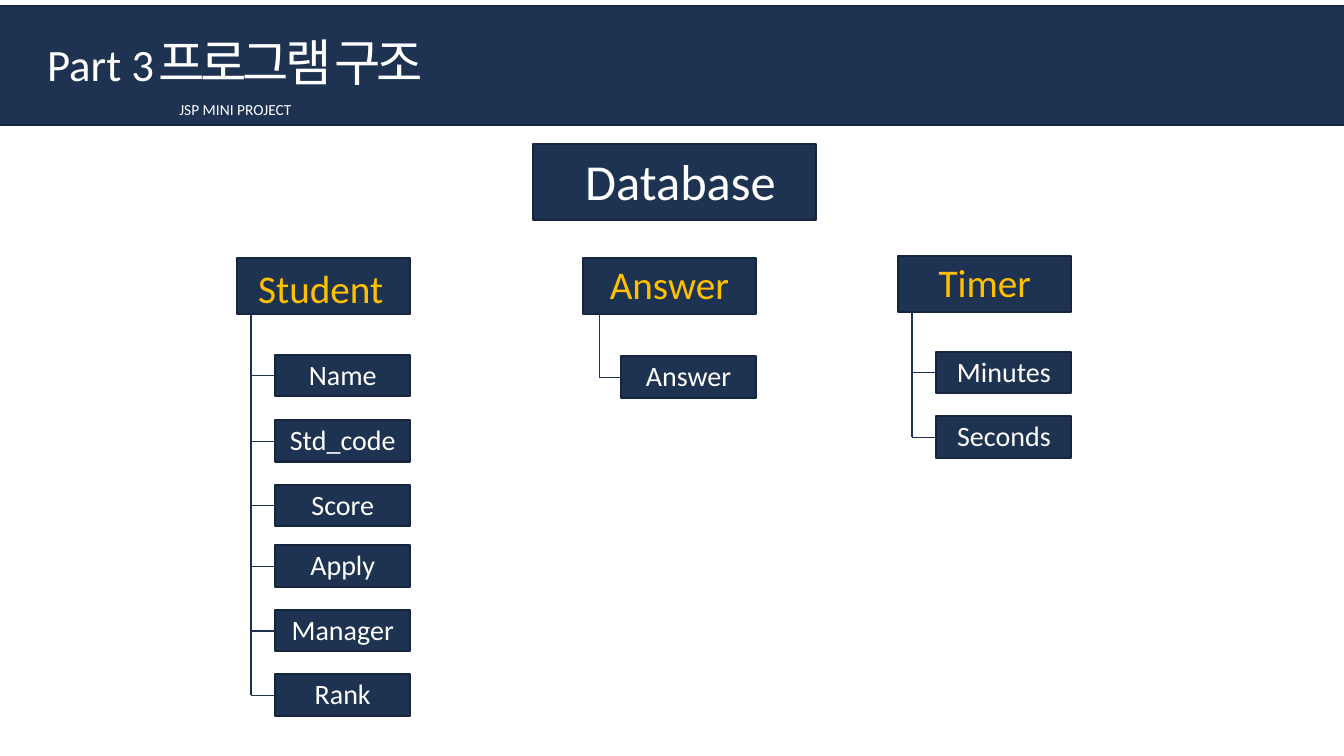
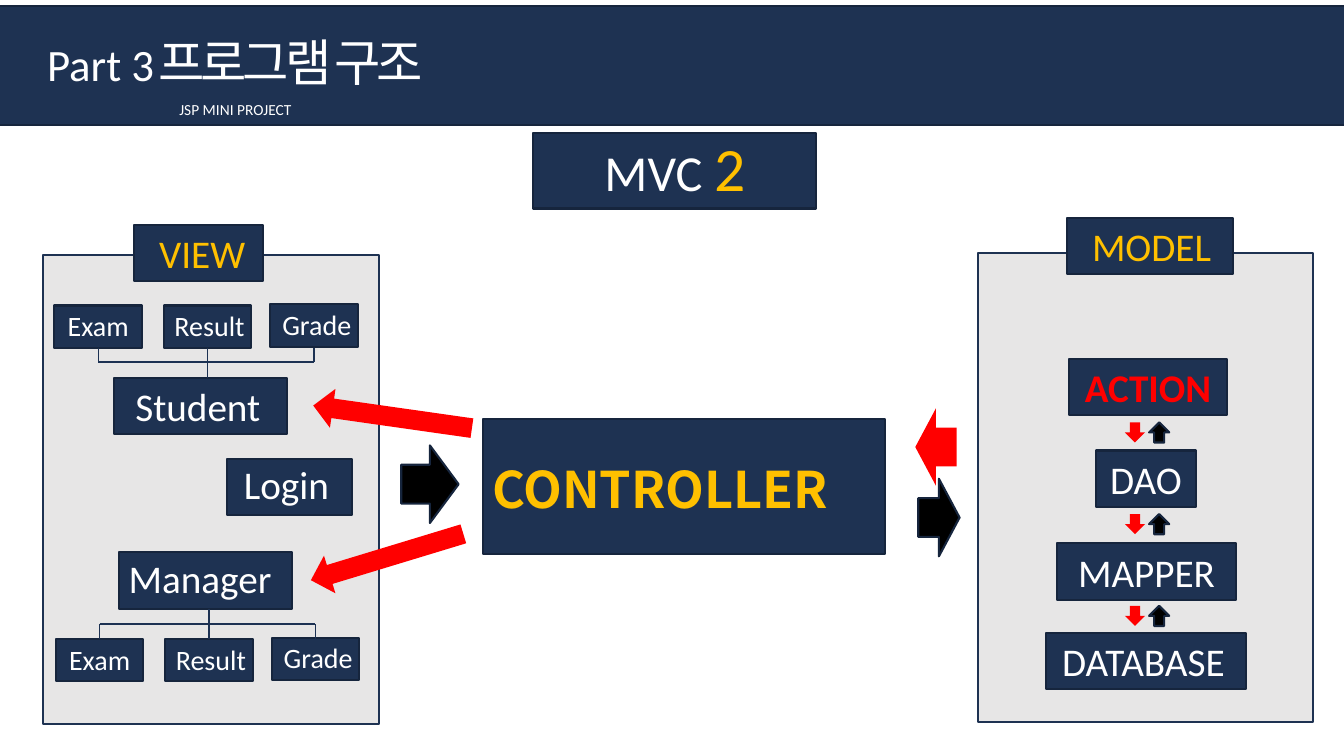
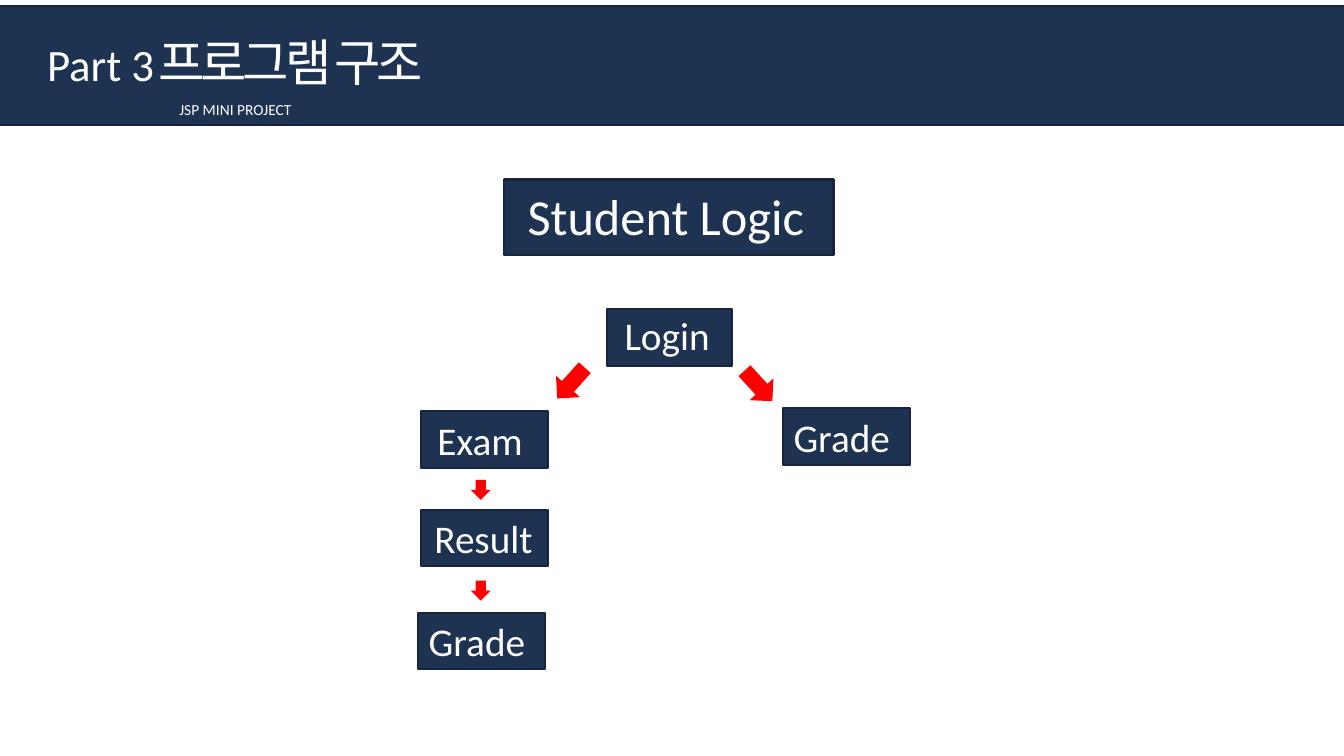
from lxml.etree import SubElement
from pptx import Presentation
from pptx.dml.color import RGBColor
from pptx.enum.shapes import MSO_CONNECTOR as Connector, MSO_SHAPE as Preset
from pptx.enum.text import MSO_ANCHOR as Anchor, MSO_AUTO_SIZE as AutoSize, PP_ALIGN as Align
from pptx.oxml.ns import qn
from pptx.util import Pt

NAVY, EDGE, LINE = "1E3252", "16253D", "1D3253"
WHITE, GOLD, RED, BLACK, GREY = "FFFFFF", "FFC000", "FF0000", "000000", "E7E6E6"
ROW = 40.3


def color(value):
    return RGBColor.from_string(value)


class Deck:
    font = "Calibri"

    def __init__(self):
        self.deck = Presentation()
        self.deck.slide_width, self.deck.slide_height = Pt(960), Pt(540)
        self.page = None

    def paint(self, shape, fill, edge):
        shape.fill.solid()
        shape.fill.fore_color.rgb = color(fill)
        if edge:
            shape.line.color.rgb = color(edge)
            shape.line.width = Pt(1.5)
        else:
            shape.line.fill.background()

    def frame(self, shape, left=0, top=0, right=0, bottom=0, anchor=Anchor.MIDDLE):
        frame = shape.text_frame
        frame.word_wrap = True
        frame.auto_size = AutoSize.NONE
        frame.margin_left, frame.margin_top = Pt(left), Pt(top)
        frame.margin_right, frame.margin_bottom = Pt(right), Pt(bottom)
        frame.vertical_anchor = anchor
        return frame

    def spans(self, para, parts, font=None, bold=False):
        for text, size, tint in parts:
            span = para.add_run()
            span.text = text
            span.font.name = font or self.font
            span.font.size = Pt(size)
            span.font.bold = bold
            span.font.color.rgb = color(tint)

    def new_page(self):
        self.page = self.deck.slides.add_slide(self.deck.slide_layouts[5])
        title = self.page.shapes.title
        title.left, title.top, title.width, title.height = Pt(-29), Pt(4.3), Pt(1029), Pt(85)
        self.paint(title, NAVY, EDGE)
        para = self.frame(title, left=62.6, top=18, anchor=Anchor.TOP).paragraphs[0]
        para.alignment = Align.LEFT
        self.spans(para, [("Part 3", 32, WHITE), (" ", 14, WHITE), ("프로그램 구조", 36, WHITE)])
        para.runs[-1].font._element.set("spc", "-300")
        label = self.page.shapes.add_textbox(Pt(121), Pt(67.7), Pt(128), Pt(21))
        para = self.frame(label, 7.2, 3.6, 7.2, 3.6, Anchor.TOP).paragraphs[0]
        self.spans(para, [("JSP MINI PROJECT", 11, WHITE)])

    def shape(self, preset, x, y, width, height, fill, edge=None):
        shape = self.page.shapes.add_shape(preset, Pt(x), Pt(y), Pt(width), Pt(height))
        shape.shadow.inherit = False
        self.paint(shape, fill, edge)
        return shape

    def panel(self, x, y):
        self.shape(Preset.RECTANGLE, x, y, 239.8, 334.8, GREY, NAVY)

    def box(self, parts, x, y, width, height=ROW, dx=0, dy=0, font=None, bold=False):
        box = self.shape(Preset.RECTANGLE, x, y, width, height, NAVY, EDGE)
        frame = self.frame(box, max(0, 2 * dx), max(0, 2 * dy), max(0, -2 * dx), max(0, -2 * dy))
        frame.paragraphs[0].alignment = Align.CENTER
        self.spans(frame.paragraphs[0], parts, font, bold)

    def node(self, text, x, y, width, tint=WHITE, dx=0, dy=0, bold=False):
        self.box([(text, 28, tint)], x, y, width, dx=dx, dy=dy, bold=bold)

    def arrow(self, x, y, width, height, turn=0, fill=RED):
        arrow = self.shape(Preset.RIGHT_ARROW, x, y, width, height, fill, EDGE if fill == BLACK else None)
        arrow.rotation = turn

    def line(self, x1, y1, x2, y2):
        line = self.page.shapes.add_connector(Connector.STRAIGHT, Pt(x1), Pt(y1), Pt(x2), Pt(y2))
        line.line.color.rgb = color(LINE)
        line.line.width = Pt(1)
        SubElement(line._element.spPr, qn("a:effectLst"))

    def table_tree(self, name, x, y, fields, trunk=10, dx=0, dy=-2):
        self.node(name, x, y, 123.8, GOLD, dx, dy)
        self.line(x + trunk, y + ROW, x + trunk, fields[-1][1] + 15)
        for field, top in fields:
            self.line(x + trunk, top + 15, x + 27.4, top + 15)
            self.box([(field, 20, WHITE)], x + 27.4, top, 96.4, 29.5, dy=-1)

    def view_tree(self, x, y, edge, bus, parent):
        views = [("Exam", 0, 0, 0), ("Result", 78, 0, 1.5), ("Grade", 154.1, -0.8, 2)]
        centers = [x + offset + 31.3 for _, offset, _, _ in views]
        for (name, offset, rise, dx), center in zip(views, centers):
            self.box([(name, 20, WHITE)], x + offset, y + rise, 62.6, 30.2, dx=dx, dy=-1)
            self.line(center, edge, center, bus)
        self.line(centers[0], bus, centers[-1], bus)
        self.line(centers[1], bus, centers[1], parent)


def database_page(deck):
    deck.new_page()
    deck.box([("Database", 36, WHITE)], 380.9, 103, 202.3, 54, dx=4, dy=-1.5)
    deck.table_tree("Student", 169.2, 184.3, [
        ("Name", 253.4), ("Std_code", 300.2), ("Score", 346.3),
        ("Apply", 389.5), ("Manager", 435.6), ("Rank", 481.7)], dx=-2, dy=1)
    deck.table_tree("Answer", 416.2, 184.3, [("Answer", 254.5)], trunk=12)
    deck.table_tree("Timer", 641.5, 182.9, [("Minutes", 251.3), ("Seconds", 297.4)])


def mvc_page(deck):
    deck.new_page()
    deck.panel(31, 182.2)
    deck.panel(698.4, 180.7)
    deck.box([("MVC ", 36, WHITE), ("2", 44, GOLD)], 380.9, 95, 202.3, 54, dy=-3)
    deck.box([("CONTROLLER", 36, GOLD)], 344.9, 299.5, 287.3, 96.5, dx=-17, dy=1,
             font="Noto Sans CJK KR", bold=True)

    deck.node("VIEW", 95.8, 160.6, 92.2, GOLD, dx=2.5)
    deck.node("Student", 81.4, 270, 123.8, dx=-2)
    deck.node("Login", 162, 327.6, 89.3, dx=-2, dy=-2)
    deck.node("Manager", 85, 394.6, 123.8, dx=-4, dy=-2)
    deck.view_tree(38.9, 218.2, 248.4, 258.5, 270)
    deck.view_tree(39.9, 456.5, 456.5, 445.7, 434.9)

    deck.node("MODEL", 762.5, 155.5, 118.1, GOLD, dx=1)
    deck.node("ACTION", 763.9, 256.3, 112.3, RED, bold=True)
    deck.node("DAO", 782.6, 321.8, 72)
    deck.node("MAPPER", 755.3, 388.1, 127.4)
    deck.node("DATABASE", 747.4, 452.2, 142.6, dx=-2)
    for step in range(3):
        top = 301.7 + 65.5 * step
        deck.arrow(803.5, top, 14.4, 14.4, 90)
        deck.arrow(820.8, top, 14.4, 14.4, 270, BLACK)

    deck.arrow(653.8, 291.6, 29.5, 55.4, 180)
    deck.arrow(655.9, 342, 29.5, 55.4, fill=BLACK)
    deck.arrow(223.2, 283.7, 114.5, 28.1, 188.1)
    deck.arrow(286.6, 318.2, 41, 55.4, fill=BLACK)
    deck.arrow(219.6, 383.8, 113.8, 28.1, 163.1)


def logic_page(deck):
    deck.new_page()
    deck.box([("Student Logic", 36, WHITE)], 360, 128.2, 235.4, 54, dx=-2, dy=-1.5)
    deck.node("Login", 433.4, 221, 89.3, dx=-1.5, dy=-2)
    deck.node("Exam", 301, 293.8, 90.7, dx=-3.5)
    deck.node("Result", 301, 364.3, 90.7, dx=-1)
    deck.node("Grade", 298.8, 437.8, 90.7, dx=-3.5)
    deck.node("Grade", 559.4, 291.6, 90.7, dx=-3.5)
    deck.arrow(393.1, 262.1, 29.5, 23, 131.9)
    deck.arrow(527, 264.2, 29.5, 23, 47.6)
    for top in (342.7, 414.7):
        deck.arrow(336.2, top, 14.4, 14.4, 90)


def main():
    deck = Deck()
    database_page(deck)
    mvc_page(deck)
    logic_page(deck)
    deck.deck.save("out.pptx")


if __name__ == "__main__":
    main()
